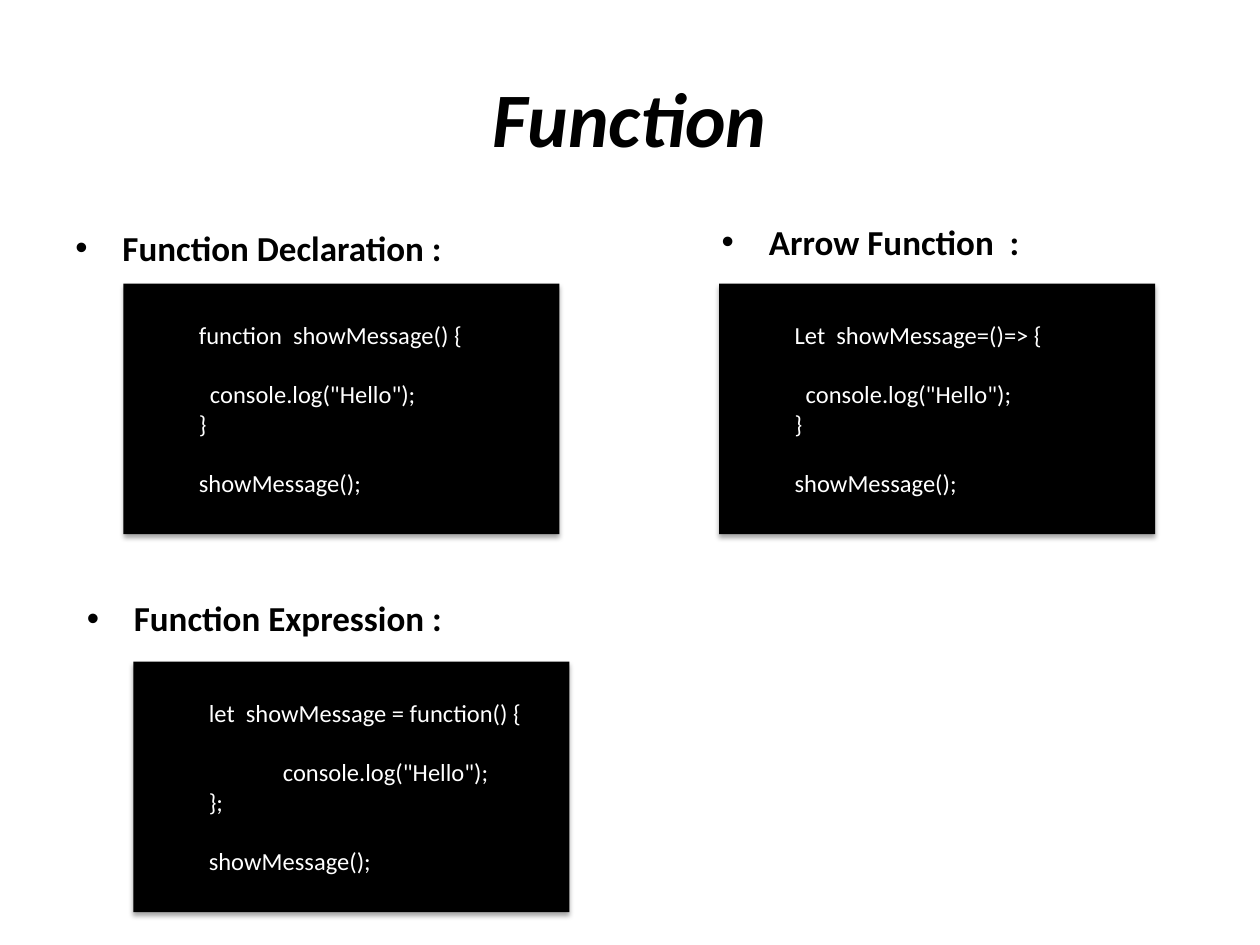
from lxml import etree
from pptx import Presentation
from pptx.dml.color import RGBColor
from pptx.enum.shapes import MSO_SHAPE
from pptx.enum.text import MSO_ANCHOR, PP_ALIGN
from pptx.oxml.ns import qn
from pptx.util import Cm, Pt

FONT = "Calibri"
BLACK, WHITE = "000000", "FFFFFF"
CODE_WIDTH, CODE_HEIGHT = 8.79, 5.05
HEADING_HEIGHT = 1.27
CODE_LINE = 17  # height in points of one line of code


def color(value):
    return RGBColor.from_string(value)


def style(font, size, value, bold=False, italic=False):
    font.name = FONT
    font.size = Pt(size)
    font.color.rgb = color(value)
    font.bold = bold
    font.italic = italic


def indent(paragraph, margin, first_line=0):
    properties = paragraph._p.get_or_add_pPr()
    properties.set("marL", str(Cm(margin)))
    properties.set("indent", str(Cm(first_line)))
    return properties


def add_title(slide, text, left, top, width, height):
    title = slide.shapes.title
    title.left, title.top = Cm(left), Cm(top)
    title.width, title.height = Cm(width), Cm(height)
    frame = title.text_frame
    frame.text = text
    frame.vertical_anchor = MSO_ANCHOR.MIDDLE
    paragraph = frame.paragraphs[0]
    paragraph.alignment = PP_ALIGN.CENTER
    style(paragraph.runs[0].font, 44, BLACK, bold=True, italic=True)


def add_heading(slide, text, left, top, width):
    box = slide.shapes.add_textbox(Cm(left), Cm(top), Cm(width), Cm(HEADING_HEIGHT))
    frame = box.text_frame
    frame.word_wrap = True
    frame.text = text
    paragraph = frame.paragraphs[0]
    properties = indent(paragraph, 0.95, -0.95)
    etree.SubElement(properties, qn("a:buFont"), typeface="Arial")
    etree.SubElement(properties, qn("a:buChar"), char="•")
    style(paragraph.runs[0].font, 20, BLACK, bold=True)


def add_shadow(shape):
    shape.shadow.inherit = False
    effects = shape._element.spPr.find(qn("a:effectLst"))
    shadow = etree.SubElement(
        effects, qn("a:outerShdw"), blurRad=str(Pt(3.1)), dist=str(Pt(1.8)),
        dir="5400000", rotWithShape="0")
    shade = etree.SubElement(shadow, qn("a:srgbClr"), val=BLACK)
    etree.SubElement(shade, qn("a:alpha"), val="35000")


def add_code(slide, lines, left, top):
    panel = slide.shapes.add_shape(
        MSO_SHAPE.RECTANGLE, Cm(left), Cm(top), Cm(CODE_WIDTH), Cm(CODE_HEIGHT))
    panel.fill.solid()
    panel.fill.fore_color.rgb = color(BLACK)
    panel.line.fill.background()
    add_shadow(panel)

    frame = panel.text_frame
    frame.word_wrap = True
    frame.vertical_anchor = MSO_ANCHOR.TOP
    frame.margin_top = Cm(0.73)
    frame.text = "\n".join(lines)
    for number, paragraph in enumerate(frame.paragraphs):
        paragraph.alignment = PP_ALIGN.LEFT
        indent(paragraph, 1.27)
        # The body and the call each stand one line apart
        if number in (1, 3):
            paragraph.space_before = Pt(CODE_LINE)
        style(paragraph.runs[0].font, 14, WHITE)


def add_example(slide, heading, heading_box, lines, code_position):
    add_heading(slide, heading, *heading_box)
    add_code(slide, lines, *code_position)


def main():
    presentation = Presentation()
    presentation.slide_width, presentation.slide_height = Cm(25.4), Cm(19.05)
    slide = presentation.slides.add_slide(presentation.slide_layouts[5])

    add_title(slide, "Function", 1.27, 0.76, 22.86, 3.18)

    body, call = '  console.log("Hello");', "showMessage();"
    # Heading, its left, top and width, code, left and top of the code
    examples = [
        ("Function Declaration :", (1.27, 4.45, 22.86),
         ["function  showMessage() {", body, "}", call], (2.49, 5.72)),
        ("Function Expression :", (1.5, 11.91, 8.41),
         ["let  showMessage = function() {", "\t" + body, "};", call], (2.69, 13.34)),
        ("Arrow Function  :", (14.3, 4.32, 8.41),
         ["Let  showMessage=()=> {", body, "}", call], (14.5, 5.72)),
    ]
    for example in examples:
        add_example(slide, *example)

    presentation.save("out.pptx")


if __name__ == "__main__":
    main()
